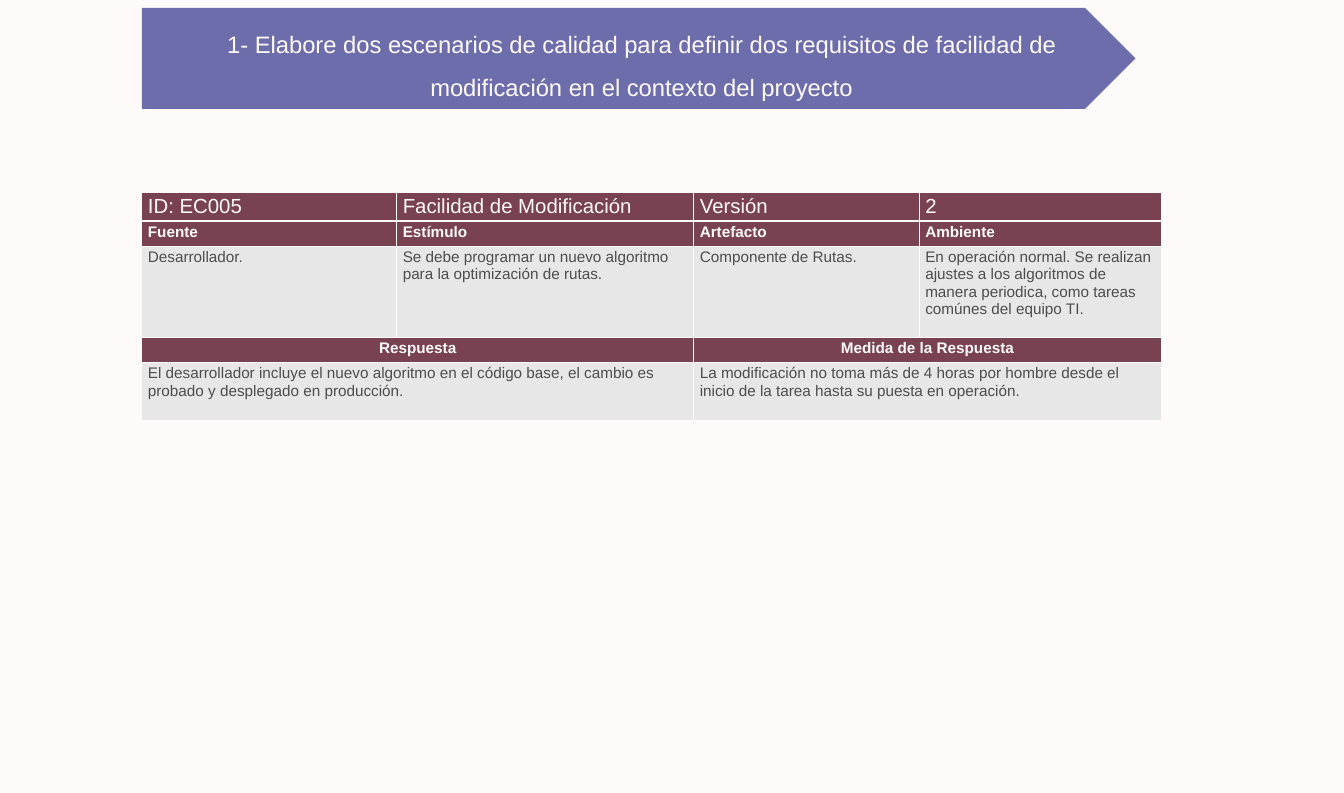
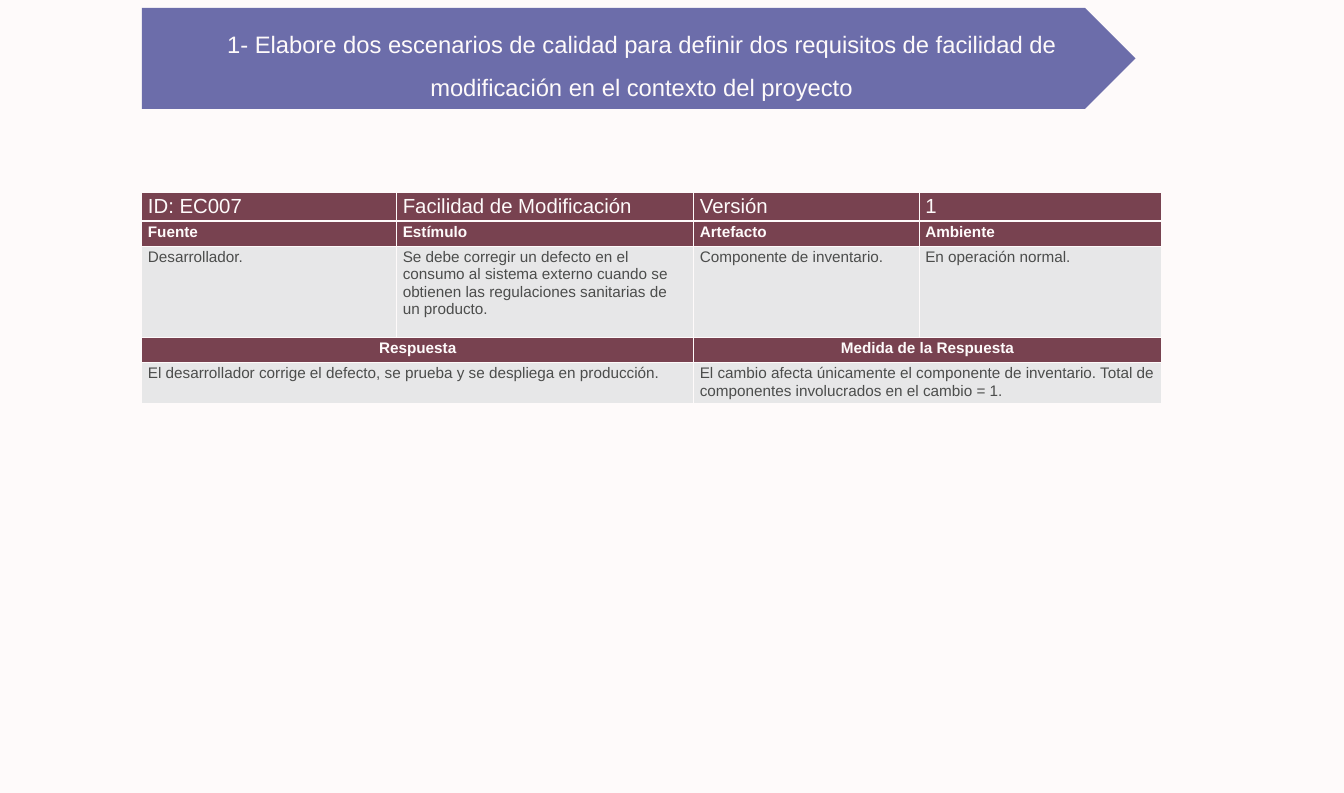
from dataclasses import dataclass

from lxml import etree
from pptx import Presentation
from pptx.dml.color import RGBColor
from pptx.enum.shapes import MSO_SHAPE
from pptx.enum.text import MSO_ANCHOR, MSO_AUTO_SIZE, PP_ALIGN
from pptx.oxml.ns import qn
from pptx.util import Inches, Pt

PENTAGON = MSO_SHAPE.PENTAGON
MIDDLE, TOP = MSO_ANCHOR.MIDDLE, MSO_ANCHOR.TOP
CENTER, LEFT = PP_ALIGN.CENTER, PP_ALIGN.LEFT
NO_AUTOFIT = MSO_AUTO_SIZE.NONE
TITLE_ONLY = 5


@dataclass(frozen=True)
class Theme:
    font: str = "Arial"
    paper: str = "FEFAFA"
    banner: str = "252884"
    banner_alpha: int = 67
    heading: str = "784250"
    body: str = "E7E7E8"
    ink: str = "4C4D4C"
    title_size: int = 28
    id_size: int = 24
    text_size: int = 18
    rule: int = 1
    thick_rule: int = 3


THEME = Theme()

TITLE = ("1- Elabore dos escenarios de calidad para definir dos requisitos "
         "de facilidad de modificación en el contexto del proyecto")
PART_HEADINGS = ("Fuente", "Estímulo", "Artefacto", "Ambiente")
RESPONSE_HEADINGS = ("Respuesta", "Medida de la Respuesta")

SCENARIOS = [
    {
        "id": ("ID: EC005", "Facilidad de Modificación", "Versión", "2"),
        "parts": (
            "Desarrollador.",
            "Se debe programar un nuevo algoritmo para la optimización de rutas.",
            "Componente de Rutas.",
            "En operación normal. Se realizan ajustes a los algoritmos de "
            "manera periodica, como tareas comúnes del equipo TI.",
        ),
        "response": (
            "El desarrollador incluye el nuevo algoritmo en el código base, "
            "el cambio es probado y desplegado en producción.",
            "La modificación no toma más de 4 horas por hombre desde el "
            "inicio de la tarea hasta su puesta en operación.",
        ),
        "response_height": 0.95,
    },
    {
        "id": ("ID: EC007", "Facilidad de Modificación", "Versión", "1"),
        "parts": (
            "Desarrollador.",
            "Se debe corregir un defecto en el consumo al sistema externo "
            "cuando se obtienen las regulaciones sanitarias de un producto.",
            "Componente de inventario.",
            "En operación normal.",
        ),
        "response": (
            "El desarrollador corrige el defecto, se prueba y se despliega en producción.",
            "El cambio afecta únicamente el componente de inventario. Total de "
            "componentes involucrados en el cambio = 1.",
        ),
        "response_height": 0.67,
    },
]

SLIDE_W, SLIDE_H = 21.99, 12.97
MARGIN = 2.32
BANNER_TOP, BANNER_W, BANNER_H = 0.13, 16.26, 1.65
BANNER_POINT = 0.5
TABLE_TOP = 3.14
COLUMNS = (4.17, 4.86, 3.69, 3.96)
ID_H, HEADING_H, PARTS_H = 0.46, 0.41, 1.49


def rgb(value):
    return RGBColor.from_string(value)


def write(paragraph, text, size, color, bold=False):
    run = paragraph.add_run()
    run.text = text
    font = run.font
    font.name, font.size, font.bold = THEME.font, Pt(size), bold
    font.color.rgb = rgb(color)


def add_banner(slide):
    """Place the translucent arrow behind the slide's title placeholder."""
    arrow = slide.shapes.add_shape(
        PENTAGON, Inches(MARGIN), Inches(BANNER_TOP), Inches(BANNER_W), Inches(BANNER_H))
    arrow.adjustments[0] = BANNER_POINT
    arrow.shadow.inherit = False
    arrow.line.fill.background()
    arrow.fill.solid()
    arrow.fill.fore_color.rgb = rgb(THEME.banner)
    color = arrow.element.spPr.find(f"{qn('a:solidFill')}/{qn('a:srgbClr')}")
    etree.SubElement(color, qn("a:alpha"), val=str(THEME.banner_alpha * 1000))

    title = slide.shapes.title
    title.element.addprevious(arrow.element)
    title.left, title.top = arrow.left, arrow.top
    title.width = Inches(BANNER_W - BANNER_H * BANNER_POINT / 2)
    title.height = arrow.height
    frame = title.text_frame
    frame.auto_size, frame.word_wrap = NO_AUTOFIT, True
    frame.vertical_anchor = MIDDLE
    paragraph = frame.paragraphs[0]
    paragraph.alignment = CENTER
    paragraph.line_spacing, paragraph.space_before = 1.5, Pt(6)
    indent = paragraph._p.get_or_add_pPr()
    indent.set("marL", str(Inches(0.5)))
    indent.set("indent", "0")
    write(paragraph, TITLE, THEME.title_size, THEME.paper)


def set_borders(cell, top, bottom):
    properties = cell._tc.get_or_add_tcPr()
    sides = {"L": THEME.rule, "R": THEME.rule, "T": top, "B": bottom}
    for side, width in sides.items():
        line = etree.SubElement(properties, qn(f"a:ln{side}"), w=str(Pt(width)))
        fill = etree.SubElement(line, qn("a:solidFill"))
        etree.SubElement(fill, qn("a:srgbClr"), val=THEME.paper)


def add_scenario(slide, scenario):
    heading = (THEME.heading, THEME.paper)
    body = (THEME.body, THEME.ink)
    # texts, height, (fill, ink), size, bold, alignment
    rows = [
        (scenario["id"], ID_H, heading, THEME.id_size, False, LEFT),
        (PART_HEADINGS, HEADING_H, heading, THEME.text_size, True, LEFT),
        (scenario["parts"], PARTS_H, body, THEME.text_size, False, LEFT),
        (RESPONSE_HEADINGS, HEADING_H, heading, THEME.text_size, True, CENTER),
        (scenario["response"], scenario["response_height"], body,
         THEME.text_size, False, LEFT),
    ]
    height = sum(row[1] for row in rows)
    table = slide.shapes.add_table(
        len(rows), len(COLUMNS), Inches(MARGIN), Inches(TABLE_TOP),
        Inches(sum(COLUMNS)), Inches(height)).table
    for column, width in zip(table.columns, COLUMNS):
        column.width = Inches(width)

    for r, (texts, row_height, (fill, ink), size, bold, align) in enumerate(rows):
        table.rows[r].height = Inches(row_height)
        for c in range(len(COLUMNS)):
            cell = table.cell(r, c)
            set_borders(cell,
                        THEME.thick_rule if r == 1 else THEME.rule,
                        THEME.thick_rule if r == 0 else THEME.rule)
            cell.fill.solid()
            cell.fill.fore_color.rgb = rgb(fill)
        span = len(COLUMNS) // len(texts)
        for i, text in enumerate(texts):
            cell = table.cell(r, i * span)
            if span > 1:
                cell.merge(table.cell(r, (i + 1) * span - 1))
            cell.vertical_anchor = TOP
            paragraph = cell.text_frame.paragraphs[0]
            paragraph.alignment = align
            write(paragraph, text, size, ink, bold)


def main():
    prs = Presentation()
    prs.slide_width, prs.slide_height = Inches(SLIDE_W), Inches(SLIDE_H)
    background = prs.slide_master.background.fill
    background.solid()
    background.fore_color.rgb = rgb(THEME.paper)
    for scenario in SCENARIOS:
        slide = prs.slides.add_slide(prs.slide_layouts[TITLE_ONLY])
        add_banner(slide)
        add_scenario(slide, scenario)
    prs.save("out.pptx")


if __name__ == "__main__":
    main()
